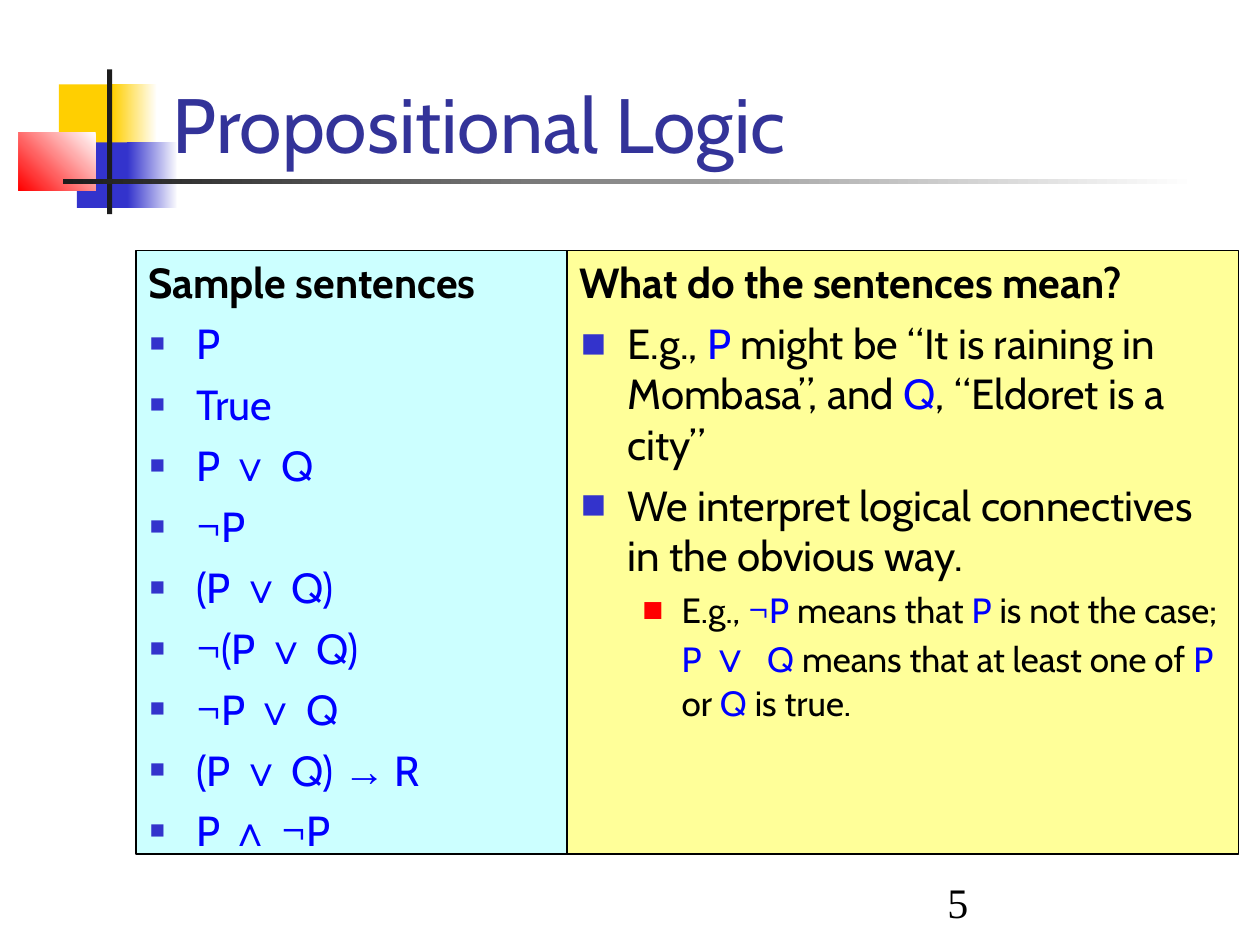
from itertools import groupby

from pptx import Presentation
from pptx.dml.color import RGBColor
from pptx.enum.shapes import MSO_SHAPE as Kind
from pptx.enum.text import MSO_ANCHOR as Anchor, PP_ALIGN as Align
from pptx.oxml.ns import qn
from pptx.util import Cm, Pt
from lxml.etree import SubElement as add_sub

WHITE = RGBColor(0xFF, 0xFF, 0xFF)
BLACK = RGBColor(0x00, 0x00, 0x00)
DARK = RGBColor(0x1C, 0x1C, 0x1C)
GOLD = RGBColor(0xFF, 0xCF, 0x01)
INDIGO = RGBColor(0x33, 0x33, 0xCC)
NAVY = RGBColor(0x33, 0x33, 0x99)
RED = RGBColor(0xFF, 0x00, 0x00)
BLUE = RGBColor(0x00, 0x00, 0xFF)
AQUA = RGBColor(0xCC, 0xFF, 0xFF)
CREAM = RGBColor(0xFF, 0xFF, 0x99)

SIGNS = "∨∧→"

SAMPLES = ["P", "True", "P ∨ Q", "¬P", "(P ∨ Q)", "¬(P ∨ Q)",
           "¬P ∨ Q", "(P ∨ Q) → R", "P ∧ ¬P"]

# Plain words and formulas take turns, plain words first.
RAIN = ["E.g., ", "P ", "might be “It is raining in Mombasa”, and ", "Q",
        ", “Eldoret is a city”"]
OBVIOUS = ["We interpret logical connectives in the obvious way."]
MEANING = ["E.g., ", "¬P ", "means that ", "P ", "is not the case; ",
           "P ∨  Q ", "means that at least one of ", "P ", "or ", "Q ",
           "is true."]


class Deck:
    def __init__(self):
        self.prs = Presentation()
        self.prs.slide_width, self.prs.slide_height = Cm(25.4), Cm(19.05)
        self.slide = self.prs.slides.add_slide(self.prs.slide_layouts[6])
        self.font = "Cabin"
        self.sign_font = "Arial"
        self.size = 24

    def block(self, box, color, fade=None):
        """Draw a rectangle; fade is the gradient angle from white to color."""
        shape = self.slide.shapes.add_shape(Kind.RECTANGLE, *map(Cm, box))
        shape.shadow.inherit = False
        shape.line.fill.background()
        if fade is None:
            shape.fill.solid()
            shape.fill.fore_color.rgb = color
        else:
            shape.fill.gradient()
            shape.fill.gradient_angle = fade
            for stop, tone, pos in zip(shape.fill.gradient_stops, (WHITE, color), (0, 1)):
                stop.color.rgb = tone
                stop.position = pos
        return shape

    def panel(self, box, color, head):
        shape = self.block(box, color)
        shape.line.color.rgb = BLACK
        shape.line.width = Pt(0.75)
        frame = shape.text_frame
        frame.word_wrap = True
        frame.vertical_anchor = Anchor.TOP
        para = frame.paragraphs[0]
        para.alignment = Align.LEFT
        self.run(para, head, BLACK, bold=True)
        return frame

    def label(self, box, text, size, color, font=None):
        shape = self.slide.shapes.add_textbox(*map(Cm, box))
        frame = shape.text_frame
        frame.word_wrap = True
        frame.vertical_anchor = Anchor.BOTTOM
        self.run(frame.paragraphs[0], text, color, size, font=font)

    def bullet(self, frame, color, scale=100, left=0.97, hang=0.94, gap=6):
        para = frame.add_paragraph()
        props = para._p.get_or_add_pPr()
        props.set("marL", str(Cm(left)))
        props.set("indent", str(-Cm(hang)))
        tint = add_sub(props, qn("a:buClr"))
        add_sub(tint, qn("a:srgbClr"), val=str(color))
        add_sub(props, qn("a:buSzPct"), val=str(scale * 1000))
        add_sub(props, qn("a:buFont"), typeface=self.sign_font)
        add_sub(props, qn("a:buChar"), char="■")
        para.alignment = Align.LEFT
        para.space_before = Pt(gap)
        return para

    def run(self, para, text, color, size=None, bold=False, font=None):
        run = para.add_run()
        run.text = text
        run.font.name = font or self.font
        run.font.size = Pt(size or self.size)
        run.font.bold = bold
        run.font.color.rgb = color

    def logic(self, para, text, size=None):
        """Add a blue formula whose connectives keep the sign font and full size."""
        for sign, chars in groupby(text, lambda char: char in SIGNS):
            part = "".join(chars)
            if sign:
                self.run(para, part, BLUE, font=self.sign_font)
            else:
                self.run(para, part, BLUE, size)

    def mixed(self, para, parts, size=None):
        for num, part in enumerate(parts):
            if num % 2:
                self.logic(para, part, size)
            else:
                self.run(para, part, BLACK, size)


def main():
    deck = Deck()

    deck.block((1.19, 1.7, 1.22, 1.32), GOLD)
    deck.block((2.26, 1.7, 0.91, 1.32), GOLD, 180)
    deck.block((1.55, 2.87, 1.17, 1.32), INDIGO)
    deck.block((2.57, 2.87, 1.02, 1.32), INDIGO, 180)
    deck.block((0.38, 2.67, 1.55, 1.17), RED, 225)
    deck.block((2.16, 1.4, 0.1, 2.92), DARK)
    deck.block((1.27, 3.61, 22.86, 0.1), DARK, 180)

    deck.label((18.85, 17.55, 5.28, 1.27), "5", 24, BLACK, "Times New Roman")
    deck.label((3.23, 0.36, 21.64, 3.18), "Propositional Logic", 44, NAVY)

    top, high = 5.05, 12.17
    left = deck.panel((2.74, top, 8.69, high), AQUA, "Sample sentences")
    for text in SAMPLES:
        deck.logic(deck.bullet(left, INDIGO, scale=60), text)

    right = deck.panel((11.43, top, 13.54, high), CREAM, "What do the sentences mean?")
    for parts in (RAIN, OBVIOUS):
        deck.mixed(deck.bullet(right, INDIGO), parts)
    para = deck.bullet(right, RED, left=2.06, hang=0.79, gap=5)
    para.level = 1
    deck.mixed(para, MEANING, 20)

    deck.prs.save("out.pptx")


if __name__ == "__main__":
    main()
